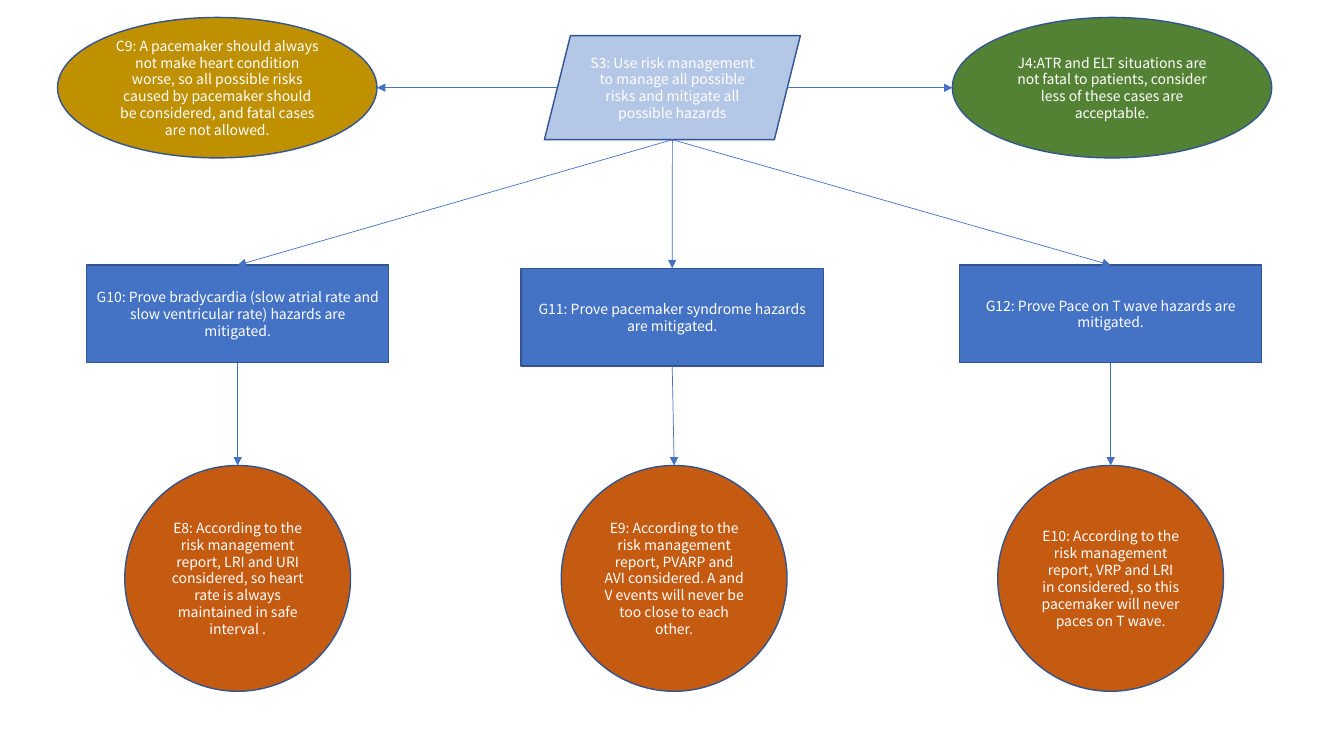
from lxml.etree import SubElement
from pptx import Presentation
from pptx.dml.color import RGBColor
from pptx.enum.shapes import MSO_CONNECTOR, MSO_SHAPE
from pptx.enum.text import MSO_ANCHOR, PP_ALIGN
from pptx.oxml.ns import qn
from pptx.util import Cm, Pt

HUES = {
    "plan": "B4C7E7", "goal": "4472C4", "context": "BF9000", "reason": "548235",
    "proof": "C55A11", "edge": "325491", "arrow": "4472C4", "text": "FFFFFF",
}
FONT = {"name": "Noto Sans CJK SC", "size": Pt(10)}
FRAME = {"word_wrap": True, "vertical_anchor": MSO_ANCHOR.MIDDLE}

CONTEXT = ("C9: A pacemaker should always not make heart condition worse, so all possible "
           "risks caused by pacemaker should be considered, and fatal cases are not allowed.")
PLAN = "S3: Use risk management to manage all possible risks and mitigate all possible hazards"
REASON = ("J4:ATR and ELT situations are not fatal to patients, "
          "consider less of these cases are acceptable.")

# Each branch: left, goal top, proof shift, goal text, proof text
BRANCHES = [
    (2.18, 6.68, 0,
     "G10: Prove bradycardia (slow atrial rate and slow ventricular rate) hazards are mitigated.",
     "E8: According to the risk management report, LRI and URI considered, "
     "so heart rate is always maintained in safe interval ."),
    (13.13, 6.76, 0.05,
     "G11: Prove pacemaker syndrome hazards are mitigated.",
     "E9: According to the risk management report, PVARP and AVI considered. "
     "A and V events will never be too close to each other."),
    (24.18, 6.68, 0,
     "G12: Prove Pace on T wave hazards are mitigated.",
     "E10: According to the risk management report, VRP and LRI in considered, "
     "so this pacemaker will never paces on T wave."),
]


def tint(name):
    return RGBColor.from_string(HUES[name])


def format_all(item, values):
    for key, value in values.items():
        setattr(item, key, value)


def add_node(slide, kind, box, hue, text):
    node = slide.shapes.add_shape(kind, *map(Cm, box))
    node.shadow.inherit = False
    node.fill.solid()
    node.fill.fore_color.rgb = tint(hue)
    node.line.color.rgb = tint("edge")
    node.line.width = Pt(1)
    format_all(node.text_frame, FRAME)
    para = node.text_frame.paragraphs[0]
    para.alignment = PP_ALIGN.CENTER
    run = para.add_run()
    run.text = text
    format_all(run.font, FONT)
    run.font.color.rgb = tint("text")
    return node


def add_arrow(slide, start, end):
    arrow = slide.shapes.add_connector(MSO_CONNECTOR.STRAIGHT, *map(Cm, start + end))
    arrow.line.color.rgb = tint("arrow")
    arrow.line.width = Pt(0.5)
    SubElement(arrow.line._get_or_add_ln(), qn("a:tailEnd"), type="triangle")
    SubElement(arrow._element.spPr, qn("a:effectLst"))
    return arrow


def add_top(slide, box):
    """Place the strategy between its context and reason; return its foot."""
    left, top, width, height = box
    oval, plan_w, plan_h = 8.05, 6.45, 2.62
    right, mid = left + width, top + height / 2
    plan_x = 13.72
    slant = plan_h / 8  # half of the default parallelogram slant
    add_node(slide, MSO_SHAPE.OVAL, (left, top, oval, height), "context", CONTEXT)
    add_node(slide, MSO_SHAPE.PARALLELOGRAM,
             (plan_x, mid - plan_h / 2, plan_w, plan_h), "plan", PLAN)
    add_node(slide, MSO_SHAPE.OVAL, (right - oval, top, oval, height), "reason", REASON)
    add_arrow(slide, (plan_x + slant, mid), (left + oval, mid))
    add_arrow(slide, (plan_x + plan_w - slant, mid), (right - oval, mid))
    return plan_x + plan_w / 2, mid + plan_h / 2


def add_branch(slide, box, shift, foot, goal_text, proof_text):
    """Place a goal at the top of the box and its proof at the bottom."""
    left, top, width, height = box
    goal_h, size = 2.46, 5.69
    mid, proof_y = left + width / 2, top + height - size
    goal = add_node(slide, MSO_SHAPE.RECTANGLE, (left, top, width, goal_h),
                    "goal", goal_text)
    proof = add_node(slide, MSO_SHAPE.OVAL,
                     (mid - size / 2 + shift, proof_y, size, size), "proof", proof_text)
    add_arrow(slide, foot, (mid, top)).end_connect(goal, 0)
    down = add_arrow(slide, (mid, top + goal_h), (mid + shift, proof_y))
    down.begin_connect(goal, 2)
    down.end_connect(proof, 0)


def main():
    deck = Presentation()
    format_all(deck, {"slide_width": Cm(33.87), "slide_height": Cm(19.05)})
    slide = deck.slides.add_slide(deck.slide_layouts[6])
    foot = add_top(slide, (1.45, 0.44, 30.6, 3.54))
    base = 17.42
    for left, top, shift, goal, proof in BRANCHES:
        add_branch(slide, (left, top, 7.62, base - top), shift, foot, goal, proof)
    deck.save("out.pptx")


if __name__ == "__main__":
    main()
